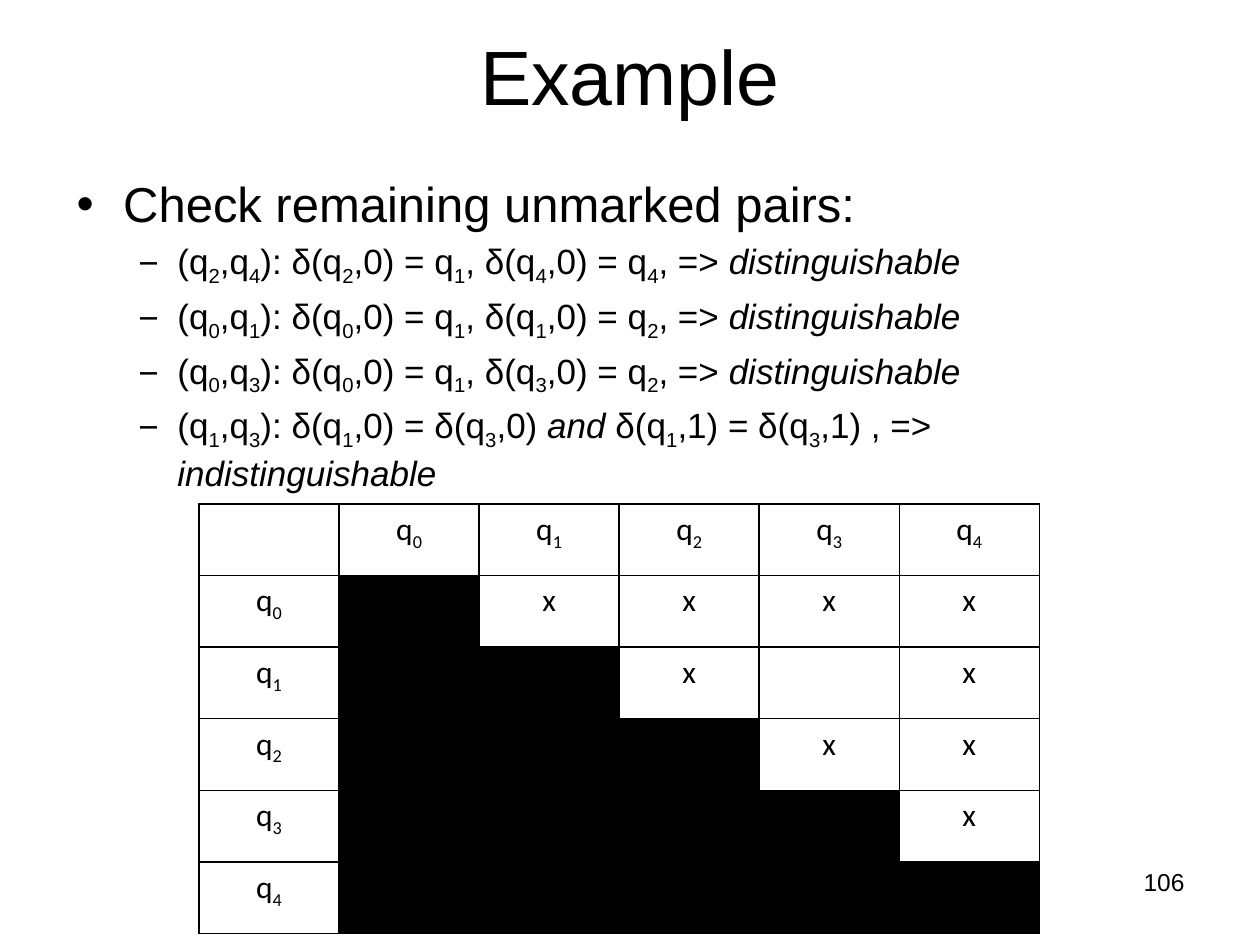
from lxml import etree
from pptx import Presentation
from pptx.dml.color import RGBColor
from pptx.enum.text import MSO_ANCHOR as Anchor, PP_ALIGN as Align
from pptx.oxml.ns import qn
from pptx.util import Inches, Pt

BLACK = RGBColor(0, 0, 0)
BLANK_LAYOUT = 6
STATES = ["q_0", "q_1", "q_2", "q_3", "q_4"]
UNMARKED = {(1, 3)}
CHECKS = [
    "(q_2,q_4): δ(q_2,0) = q_1, δ(q_4,0) = q_4, => *distinguishable*",
    "(q_0,q_1): δ(q_0,0) = q_1, δ(q_1,0) = q_2, => *distinguishable*",
    "(q_0,q_3): δ(q_0,0) = q_1, δ(q_3,0) = q_2, => *distinguishable*",
    "(q_1,q_3): δ(q_1,0) = δ(q_3,0) *and* δ(q_1,1) = δ(q_3,1) , => *indistinguishable*",
]


def add_span(para, text, size, font="Arial", italic=False, subscript=False):
    if not text:
        return
    span = para.add_run()
    span.text = text
    for name, value in {"size": Pt(size), "name": font, "italic": italic}.items():
        setattr(span.font, name, value)
    span.font.color.rgb = BLACK
    if subscript:
        span._r.get_or_add_rPr().set("baseline", "-25000")


def add_marked_text(para, text, size, font="Arial"):
    """Write text where _ lowers the next character and *...* is italic."""
    for index, part in enumerate(text.split("*")):
        italic = index % 2 == 1
        plain, *lowered = part.split("_")
        add_span(para, plain, size, font, italic)
        for piece in lowered:
            add_span(para, piece[0], size, font, italic, subscript=True)
            add_span(para, piece[1:], size, font, italic)


def add_text_box(page, left, top, width, height, anchor=Anchor.TOP):
    box = page.shapes.add_textbox(*map(Inches, (left, top, width, height)))
    box.text_frame.word_wrap = True
    box.text_frame.vertical_anchor = anchor
    return box.text_frame


def set_bullet(para, mark, margin, indent):
    props = para._p.get_or_add_pPr()
    props.set("marL", str(Inches(margin)))
    props.set("indent", str(Inches(indent)))
    color = etree.SubElement(props, qn("a:buClr"))
    etree.SubElement(color, qn("a:srgbClr"), val=str(BLACK))
    etree.SubElement(props, qn("a:buFont"), typeface="Arial")
    etree.SubElement(props, qn("a:buChar"), char=mark)


def add_title(page):
    para = add_text_box(page, 0.5, 0.3, 9, 1.25, Anchor.MIDDLE).paragraphs[0]
    para.alignment = Align.CENTER
    add_span(para, "Example", 44)
    para.add_line_break()
    etree.SubElement(para._p, qn("a:endParaRPr"), sz="4000")


def add_checks(page):
    frame = add_text_box(page, 0.5, 1.33, 9, 2.58)
    heading = frame.paragraphs[0]
    heading.space_before = Pt(5.6)
    set_bullet(heading, "•", 0.38, -0.37)
    add_span(heading, "Check remaining unmarked pairs:", 28)
    for check in CHECKS:
        para = frame.add_paragraph()
        para.level = 1
        para.space_before = Pt(4)
        set_bullet(para, "−", 0.81, -0.31)
        add_marked_text(para, check, 20)


def add_page_number(page):
    para = add_text_box(page, 7.17, 6.83, 2.33, 0.52).paragraphs[0]
    para.alignment = Align.RIGHT
    para.space_before = Pt(2.8)
    add_span(para, "106", 14)


def set_borders(cell):
    props = cell._tc.get_or_add_tcPr()
    for position, side in enumerate(("a:lnL", "a:lnR", "a:lnT", "a:lnB")):
        line = etree.Element(qn(side), w=str(Pt(0.96)))
        fill = etree.SubElement(line, qn("a:solidFill"))
        etree.SubElement(fill, qn("a:srgbClr"), val=str(BLACK))
        props.insert(position, line)


def pair_text(row, column):
    """Give the label or mark of a cell; -1 stands for the header line."""
    if row < 0 or column < 0:
        return "" if row == column else STATES[max(row, column)]
    return "x" if column > row and (row, column) not in UNMARKED else ""


def add_pair_table(page):
    count = len(STATES) + 1
    place = map(Inches, (1.58, 4, 6.67, 3.41))
    table = page.shapes.add_table(count, count, *place).table
    table.first_row = False
    table.horz_banding = False
    for index in range(count * count):
        row, column = divmod(index, count)
        cell = table.cell(row, column)
        if 0 < column <= row:
            cell.fill.solid()
            cell.fill.fore_color.rgb = BLACK
        else:
            cell.fill.background()
        set_borders(cell)
        para = cell.text_frame.paragraphs[0]
        para.alignment = Align.CENTER
        add_marked_text(para, pair_text(row - 1, column - 1), 18, "Calibri")


def main():
    deck = Presentation()
    deck.slide_width, deck.slide_height = Inches(10), Inches(7.5)
    page = deck.slides.add_slide(deck.slide_layouts[BLANK_LAYOUT])
    add_title(page)
    add_checks(page)
    add_page_number(page)
    add_pair_table(page)
    deck.save("out.pptx")


if __name__ == "__main__":
    main()
